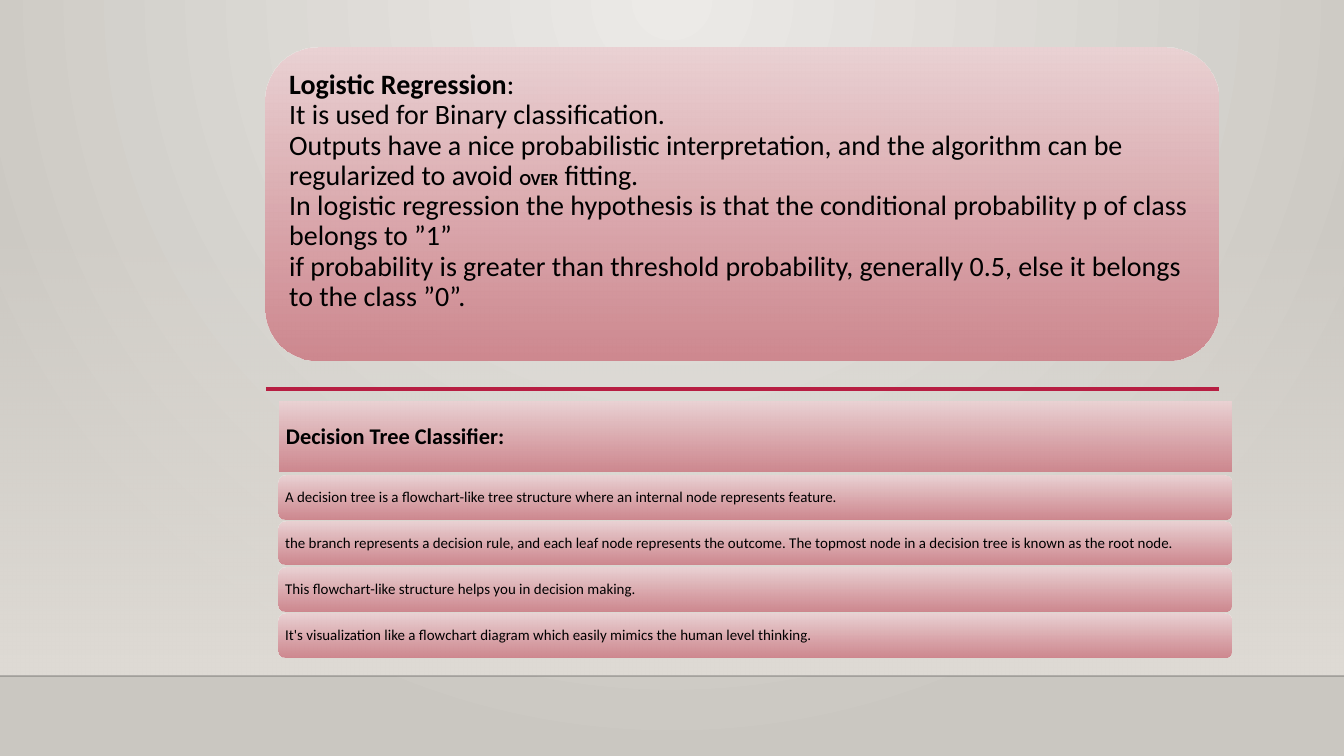
from copy import deepcopy

from lxml import etree
from pptx import Presentation
from pptx import util as u
from pptx.dml.color import RGBColor
from pptx.enum import shapes, text
from pptx.oxml.ns import qn

SCALE = 914400 / 134.4
WIDE, HIGH = 1344, 756
PINK = [("EAD1D3", 100), ("CD828A", 92)]
WALL = [("ECEAE7", 100), ("CAC7C1", 100)]
FADE = [("DFDBD5", 0), ("DFDBD5", 100)]
FLOOR = 676

INTRO = [
    ("Logistic Regression", {"bold": True}),
    (":\nIt is used for Binary classification.\nOutputs have a nice probabilistic "
     "interpretation, and the algorithm can be regularized to avoid ", {}),
    ("OVER", {"bold": True, "size": u.Pt(9)}),
    (" fitting.\nIn logistic regression the hypothesis is that the conditional "
     "probability p of class belongs to ”1”\nif probability is greater than "
     "threshold probability, generally 0.5, else it belongs to the class ”0”.", {}),
]
ROWS = [
    "A decision tree is a flowchart-like tree structure where an internal node "
    "represents feature.",
    "the branch represents a decision rule, and each leaf node represents the "
    "outcome. The topmost node in a decision tree is known as the root node.",
    "This flowchart-like structure helps you in decision making.",
    "It's visualization like a flowchart diagram which easily mimics the human "
    "level thinking.",
]


def px(n):
    """Turn pixels into EMU."""
    return u.Emu(round(n * SCALE))


def rgb(code):
    """Turn a hex string into a colour."""
    return RGBColor.from_string(code)


def put(item, values):
    """Set attributes from a dict."""
    for name, value in values.items():
        setattr(item, name, value)


def sub(node, tag, **values):
    """Add a child element with attributes."""
    return etree.SubElement(node, qn(tag), values)


def fade(color, part):
    """Make a colour element partly transparent."""
    if part < 100:
        sub(color, "a:alpha", val=str(part * 1000))


class Page:
    """Style and the current slide."""

    font = "Calibri"
    ink = "000000"

    def __init__(self, deck):
        """Start a slide with a title placeholder."""
        self.slide = deck.slides.add_slide(deck.slide_layouts[5])
        self.tree = self.slide.shapes

    def blend(self, fill, node, stops):
        """Fill from top to bottom with two colours."""
        fill.gradient()
        fill.gradient_angle = 270
        for stop, (code, _) in zip(fill.gradient_stops, stops):
            stop.color.rgb = rgb(code)
        for color, (_, part) in zip(node.xpath(".//a:gs/a:srgbClr"), stops):
            fade(color, part)

    def wall(self, stops):
        """Give the slide a round glow from the top centre."""
        back = self.slide.background.fill
        node = self.slide._element.xpath(".//p:bgPr")[0]
        self.blend(back, node, stops)
        grad = node.find(qn("a:gradFill"))
        grad.remove(grad.find(qn("a:lin")))
        ring = sub(grad, "a:path", path="circle")
        sub(ring, "a:fillToRect", l="43000", t="0", r="43000", b="100000")

    def box(self, kind, x, y, w, h, stops):
        """Add a shape with a gradient fill."""
        shape = self.tree.add_shape(kind, px(x), px(y), px(w), px(h))
        shape.shadow.inherit = False
        shape.line.fill.background()
        self.blend(shape.fill, shape._element.spPr, stops)
        return shape

    def card(self, x, y, w, h, runs, size, pad, foot=None):
        """Add a rounded panel with text."""
        kind = shapes.MSO_SHAPE.ROUNDED_RECTANGLE
        self.label(self.box(kind, x, y, w, h, PINK), runs, size, pad, foot)

    def title(self, x, y, w, h, runs, size, pad):
        """Turn the title placeholder into a rounded panel."""
        shape = self.tree.title
        put(shape, {"left": px(x), "top": px(y), "width": px(w), "height": px(h)})
        node = shape._element.spPr
        sub(sub(node, "a:prstGeom", prst="roundRect"), "a:avLst")
        self.blend(shape.fill, node, PINK)
        self.tree._spTree.append(shape._element)
        self.label(shape, runs, size, pad)

    def label(self, shape, runs, size, pad, foot=None):
        """Fill a shape with one paragraph of styled runs."""
        frame = shape.text_frame
        put(frame, {"word_wrap": True, "auto_size": text.MSO_AUTO_SIZE.NONE,
                    "vertical_anchor": text.MSO_ANCHOR.MIDDLE,
                    "margin_left": px(pad), "margin_right": px(pad),
                    "margin_top": px(pad), "margin_bottom": px(foot or pad)})
        para = frame.paragraphs[0]
        put(para, {"alignment": text.PP_ALIGN.LEFT, "line_spacing": 0.9})
        for words, look in runs:
            for i, line in enumerate(words.split("\n")):
                if i:
                    para.add_line_break()
                    para._p[-1].append(deepcopy(run._r.rPr))
                run = para.add_run()
                run.text = line
                put(run.font, {"name": self.font, "size": u.Pt(size),
                               "bold": False, **look})
                run.font.color.rgb = rgb(self.ink)

    def rule(self, x, y, end, code, width, part=100):
        """Add a level line."""
        line = self.tree.add_connector(
            shapes.MSO_CONNECTOR.STRAIGHT, px(x), px(y), px(end), px(y))
        line.line.width = u.Pt(width)
        line.line.color.rgb = rgb(code)
        node = line._element.spPr
        fade(node.xpath(".//a:srgbClr")[0], part)
        sub(node, "a:effectLst")


def main():
    """Build the slide."""
    deck = Presentation()
    put(deck, {"slide_width": px(WIDE), "slide_height": px(HIGH)})
    page = Page(deck)
    page.wall(WALL)
    page.box(shapes.MSO_SHAPE.RECTANGLE, 0, 223, WIDE, FLOOR - 223, FADE)
    page.rule(0, FLOOR, WIDE, "000001", 1, 20)
    page.rule(266, 389, 1219, "B71E42", 2.5)
    page.card(266, 48, 952, 313, INTRO, 15, 8, 34)
    page.title(279, 402, 952, 70,
               [("Decision Tree Classifier:", {"bold": True})], 12, 7)
    for i, row in enumerate(ROWS):
        page.card(279, 476 + 46 * i, 952, 43, [(row, {})], 8, 4)
    deck.save("out.pptx")


main()
